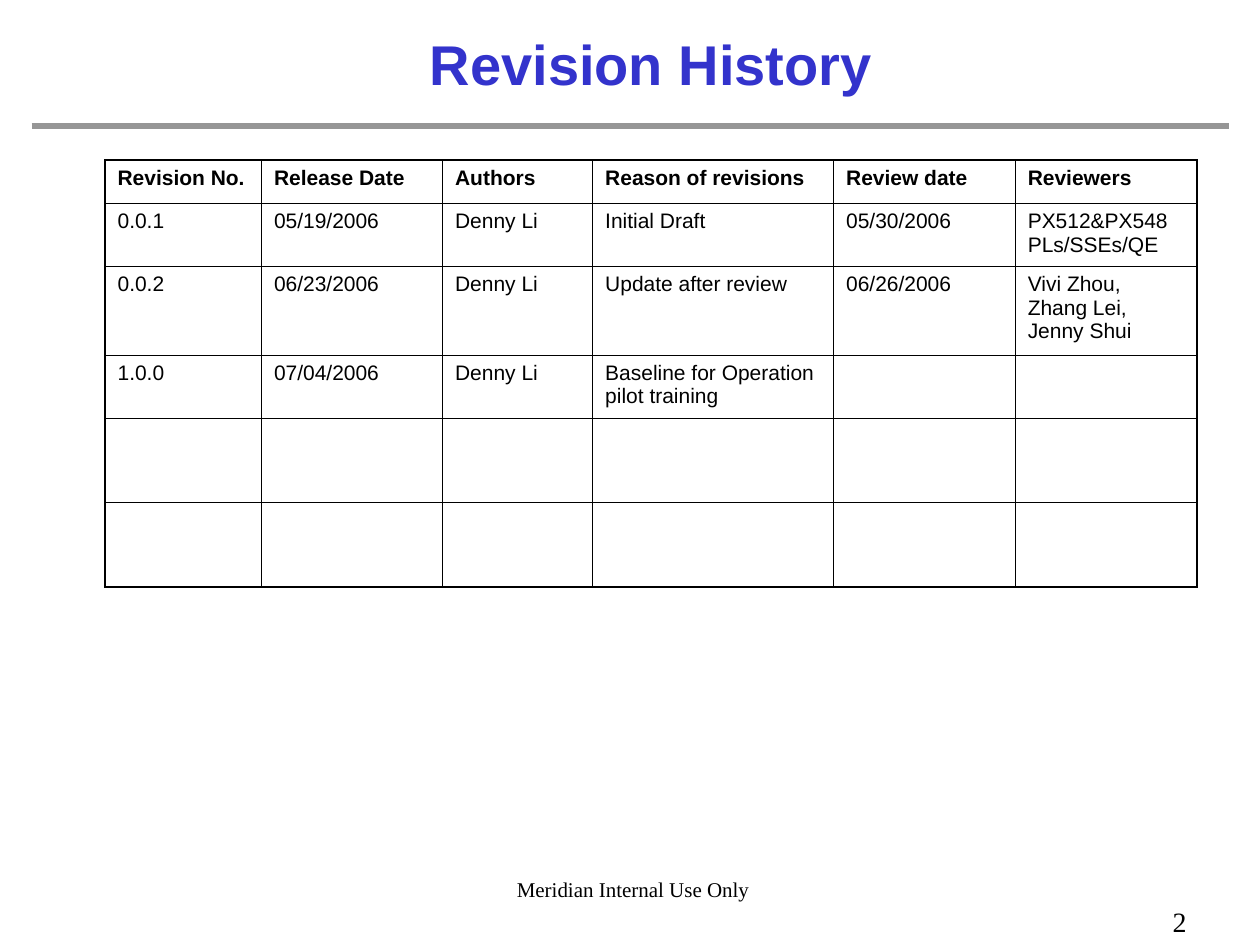
from dataclasses import dataclass

from lxml.etree import SubElement
from pptx import Presentation
from pptx.dml.color import RGBColor
from pptx.enum.shapes import MSO_CONNECTOR as Connector
from pptx.enum.text import MSO_ANCHOR as Anchor, PP_ALIGN as Align
from pptx.oxml.ns import qn
from pptx.util import Emu, Inches, Pt

# Grid: 120 columns by 90 rows on a 10 x 7.5 inch slide
WIDTH, HEIGHT = Inches(10), Inches(7.5)
COLS, ROWS = 120, 90
COLORS = {"title": "3333CC", "text": "000000", "rule": "969696", "border": "000000"}
SANS, SERIF = "Arial", "Times New Roman"
THIN, THICK = 0.45, 1.08


@dataclass
class Style:
    size: float
    font: str
    color: str = "text"
    bold: bool = False
    align: Align = Align.LEFT


@dataclass
class Box:
    col: float
    row: float
    cols: float
    rows: float

    def place(self) -> tuple:
        return across(self.col), down(self.row), across(self.cols), down(self.rows)


@dataclass
class Label:
    text: str
    box: Box
    style: Style
    wrap: bool


TITLE = Style(32, SANS, "title", True, Align.CENTER)
HEAD = Style(12, SANS, bold=True)
BODY = Style(12, SANS)

LABELS = [
    Label("Meridian Internal Use Only", Box(48, 82.92, 24.6, 3.6),
          Style(12, SERIF, align=Align.CENTER), False),
    Label("2", Box(110.5, 85.56, 13.44, 4.44), Style(16, SERIF), True),
]

COL_WIDTHS = [14.9, 17.25, 14.3, 22.95, 17.3, 17.3]
ROW_HEIGHTS = [4.1, 6, 8.47, 6, 8.05, 8.05]
REVISIONS = [
    ["Revision No.", "Release Date", "Authors", "Reason of revisions",
     "Review date", "Reviewers"],
    ["0.0.1", "05/19/2006", "Denny Li", "Initial Draft",
     "05/30/2006", "PX512&PX548 PLs/SSEs/QE"],
    ["0.0.2", "06/23/2006", "Denny Li", "Update after review",
     "06/26/2006", "Vivi Zhou, Zhang Lei, Jenny Shui"],
    ["1.0.0", "07/04/2006", "Denny Li", "Baseline for Operation pilot training"],
]


def across(cols: float) -> Emu:
    return Emu(round(WIDTH * cols / COLS))


def down(rows: float) -> Emu:
    return Emu(round(HEIGHT * rows / ROWS))


def rgb(name: str) -> RGBColor:
    return RGBColor.from_string(COLORS[name])


def write(tf, text: str, style: Style) -> None:
    p = tf.paragraphs[0]
    p.alignment = style.align
    r = p.add_run()
    r.text = text
    r.font.size, r.font.name, r.font.bold = Pt(style.size), style.font, style.bold
    r.font.color.rgb = rgb(style.color)


def add_label(s, label: Label) -> None:
    tf = s.shapes.add_textbox(*label.box.place()).text_frame
    tf.word_wrap = label.wrap
    write(tf, label.text, label.style)


def set_borders(cell, widths: dict) -> None:
    tc_pr = cell._tc.get_or_add_tcPr()
    for i, (side, width) in enumerate(widths.items()):
        ln = tc_pr.makeelement(qn(f"a:ln{side}"), {"w": str(int(Pt(width)))})
        fill = SubElement(ln, qn("a:solidFill"))
        SubElement(fill, qn("a:srgbClr"), val=COLORS["border"])
        tc_pr.insert(i, ln)


def add_revisions(s, box: Box) -> None:
    n_rows, n_cols = len(ROW_HEIGHTS), len(COL_WIDTHS)
    table = s.shapes.add_table(n_rows, n_cols, *box.place()).table
    table.first_row = table.horz_banding = False
    for column, width in zip(table.columns, COL_WIDTHS):
        column.width = across(width)
    for i, (row, height) in enumerate(zip(table.rows, ROW_HEIGHTS)):
        row.height = down(height)
        texts = REVISIONS[i] if i < len(REVISIONS) else []
        for j, cell in enumerate(row.cells):
            cell.fill.background()
            # The outer frame is heavier than the inner lines
            outer = {"L": j == 0, "R": j == n_cols - 1,
                     "T": i == 0, "B": i == n_rows - 1}
            set_borders(cell, {k: THICK if v else THIN for k, v in outer.items()})
            if j < len(texts):
                write(cell.text_frame, texts[j], HEAD if i == 0 else BODY)


def add_rule(s, start: float, end: float, row: float) -> None:
    line = s.shapes.add_connector(Connector.STRAIGHT, across(start), down(row),
                                  across(end), down(row))
    line.line.color.rgb = rgb("rule")
    line.line.width = Pt(3)
    SubElement(line._element.spPr, qn("a:effectLst"))


def main() -> None:
    prs = Presentation()
    prs.slide_width, prs.slide_height = WIDTH, HEIGHT
    s = prs.slides.add_slide(prs.slide_layouts[5])

    # Footer and page number
    for label in LABELS:
        add_label(s, label)

    # Title
    title = s.shapes.title
    title.left, title.top, title.width, title.height = Box(10, 0, 104, 12).place()
    title.text_frame.vertical_anchor = Anchor.MIDDLE
    write(title.text_frame, "Revision History", TITLE)

    # Revision table and the rule under the title
    add_revisions(s, Box(10, 15.25, sum(COL_WIDTHS), sum(ROW_HEIGHTS)))
    add_rule(s, 3, 117, 12)
    prs.save("out.pptx")


if __name__ == "__main__":
    main()
